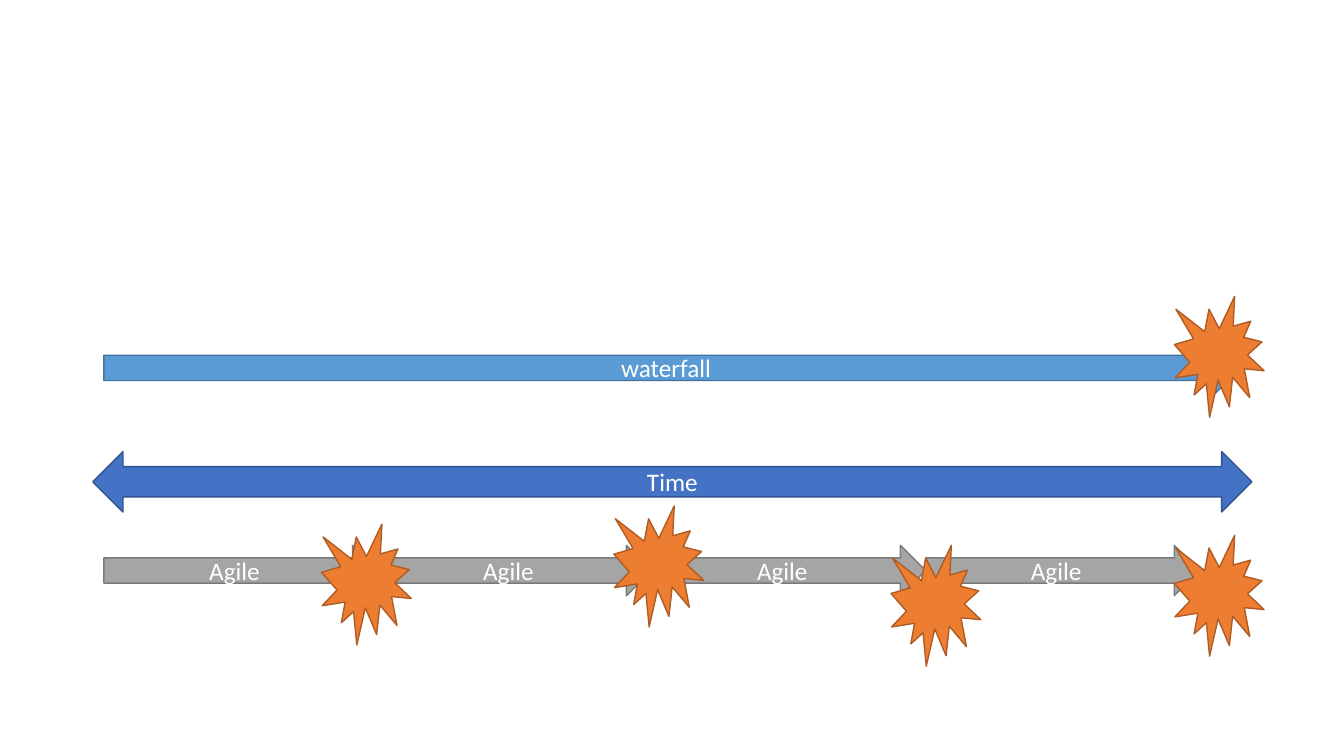
from dataclasses import dataclass

import pptx
import pptx.dml.color
import pptx.enum.shapes
import pptx.enum.text
import pptx.slide
import pptx.util

SHAPES = pptx.enum.shapes.MSO_SHAPE
SLIDE_WIDTH = pptx.util.Inches(13.333)
SLIDE_HEIGHT = pptx.util.Inches(7.5)

# Grid: a column is 1 % of the slide's width, a row 1 % of its height
COLUMN = SLIDE_WIDTH / 100
ROW = SLIDE_HEIGHT / 100

COLORS = {
    "time": "4472C4", "time line": "325491",
    "waterfall": "5B9BD5", "waterfall line": "43739E",
    "agile": "A5A5A5", "agile line": "7A7A7A",
    "release": "ED7D31", "release line": "AF5C24",
    "text": "FFFFFF",
}
FONT_FORMAT = {"name": "Calibri", "size": pptx.util.Pt(18)}

TRACK_LEFT = 7.73
ARROW_HEIGHT = 6.67
SPRINT_COUNT = 4
SPRINT_WIDTH = 20.38
SPRINT_TOP = 72.13
RELEASE_WIDTH, RELEASE_HEIGHT = 6.68, 16
RELEASE_POSITIONS = [
    (87.38, 39.2),  # end of the waterfall
    (23.93, 69.33), (45.68, 66.93), (66.3, 72.13), (87.38, 70.8),
]


@dataclass
class Block:
    preset: SHAPES
    color: str
    left: float
    top: float
    width: float
    height: float
    text: str = ""


def draw_block(slide: pptx.slide.Slide, block: Block) -> None:
    shape = slide.shapes.add_shape(
        block.preset,
        round(block.left * COLUMN), round(block.top * ROW),
        round(block.width * COLUMN), round(block.height * ROW),
    )
    shape.shadow.inherit = False
    shape.fill.solid()
    shape.fill.fore_color.rgb = pptx.dml.color.RGBColor.from_string(COLORS[block.color])
    shape.line.color.rgb = pptx.dml.color.RGBColor.from_string(COLORS[f"{block.color} line"])
    shape.line.width = pptx.util.Pt(1)
    if not block.text:
        return
    shape.text_frame.vertical_anchor = pptx.enum.text.MSO_ANCHOR.MIDDLE
    paragraph = shape.text_frame.paragraphs[0]
    paragraph.alignment = pptx.enum.text.PP_ALIGN.CENTER
    run = paragraph.add_run()
    run.text = block.text
    for attribute, value in FONT_FORMAT.items():
        setattr(run.font, attribute, value)
    run.font.color.rgb = pptx.dml.color.RGBColor.from_string(COLORS["text"])


def main() -> None:
    presentation = pptx.Presentation()
    presentation.slide_width = SLIDE_WIDTH
    presentation.slide_height = SLIDE_HEIGHT
    slide = presentation.slides.add_slide(presentation.slide_layouts[6])

    # Time axis and the single waterfall run
    blocks = [
        Block(SHAPES.LEFT_RIGHT_ARROW, "time", 6.9, 59.73, 86.25, 8, "Time"),
        Block(SHAPES.RIGHT_ARROW, "waterfall", TRACK_LEFT, 45.33, 84.6,
              ARROW_HEIGHT, "waterfall"),
    ]
    # Agile sprints, end to end
    blocks += [
        Block(SHAPES.RIGHT_ARROW, "agile", TRACK_LEFT + index * SPRINT_WIDTH,
              SPRINT_TOP, SPRINT_WIDTH, ARROW_HEIGHT, "Agile")
        for index in range(SPRINT_COUNT)
    ]
    # Release bursts
    blocks += [
        Block(SHAPES.EXPLOSION1, "release", left, top, RELEASE_WIDTH, RELEASE_HEIGHT)
        for left, top in RELEASE_POSITIONS
    ]
    for block in blocks:
        draw_block(slide, block)

    presentation.save("out.pptx")


if __name__ == "__main__":
    main()
